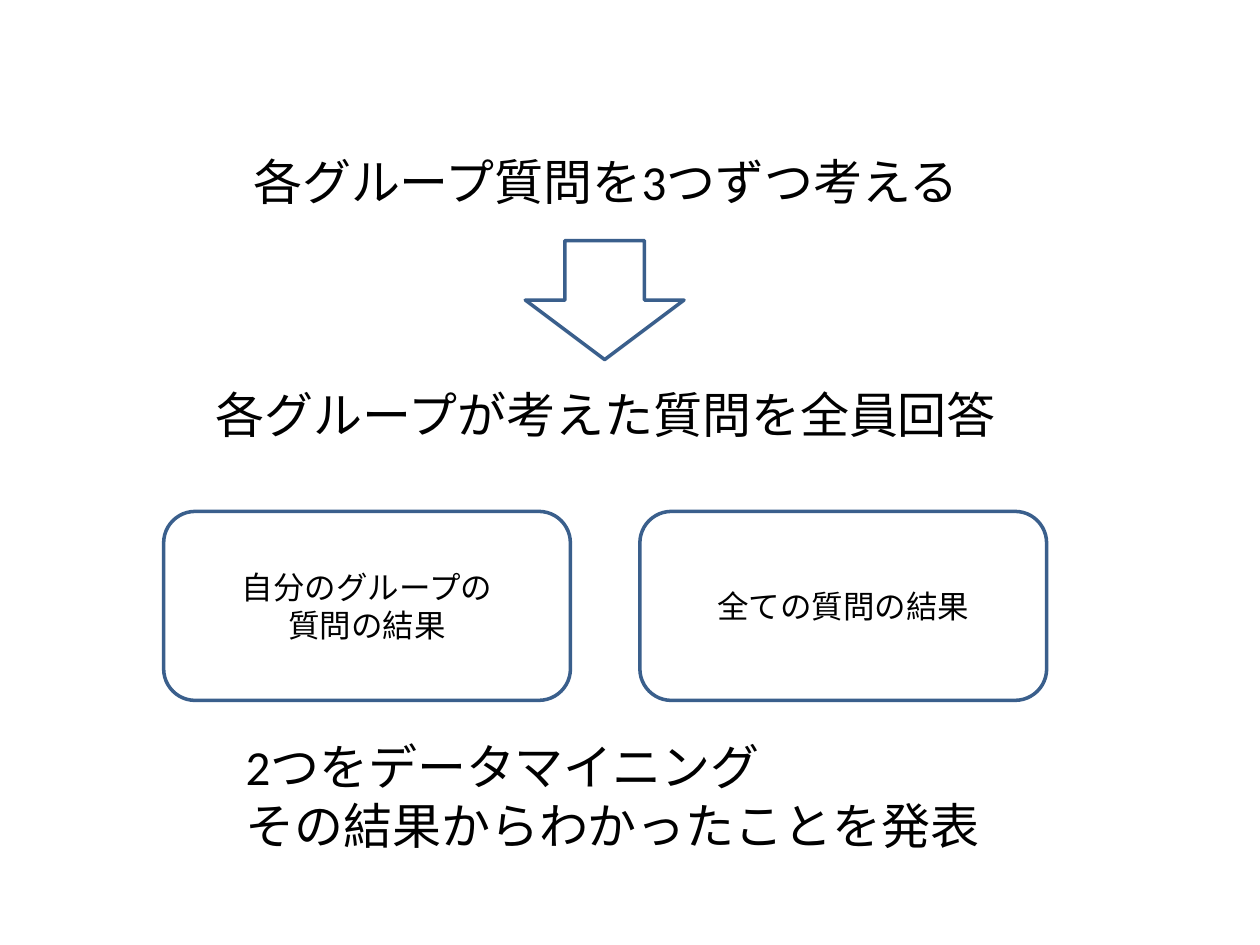
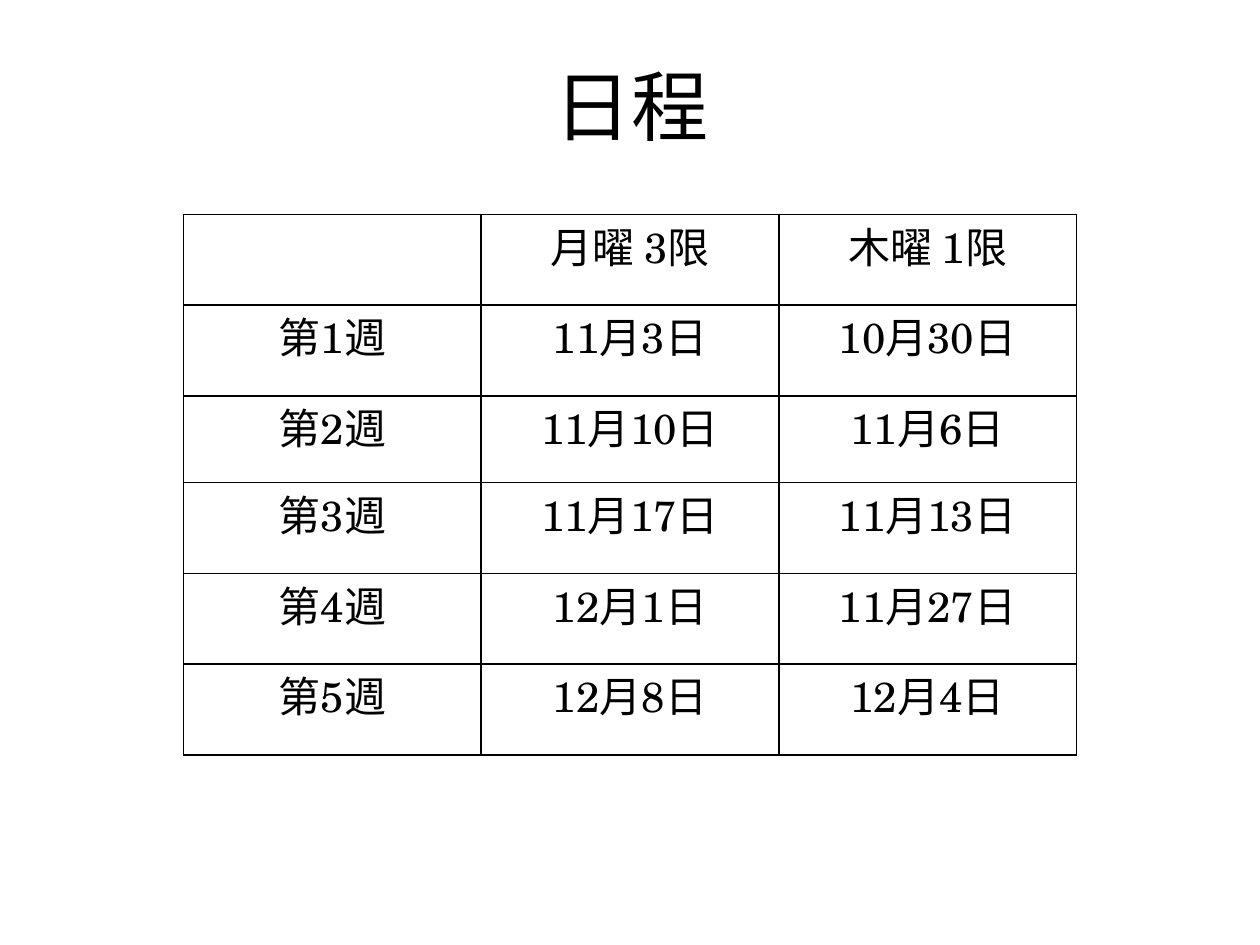
from lxml.etree import SubElement
from pptx import Presentation
from pptx.dml.color import RGBColor
from pptx.enum.shapes import MSO_SHAPE
from pptx.enum.text import MSO_ANCHOR, PP_ALIGN
from pptx.oxml.ns import qn
from pptx.util import Cm, Pt

BLACK = "000000"
WHITE = "FFFFFF"
OUTLINE = "3A5F8C"
BODY_FONT = "Calibri"
TABLE_FONT = "TeX Gyre Schola"
TITLE_ONLY, BLANK = 5, 6

SCHEDULE = [
    ["", "月曜 3限", "木曜 1限"],
    ["第1週", "11月3日", "10月30日"],
    ["第2週", "11月10日", "11月6日"],
    ["第3週", "11月17日", "11月13日"],
    ["第4週", "12月1日", "11月27日"],
    ["第5週", "12月8日", "12月4日"],
]
ROW_HEIGHTS = [1.83, 1.83, 1.75, 1.83, 1.83, 1.83]


def color(value):
    """Turn a hex string into a colour."""
    return RGBColor.from_string(value)


def write(frame, text, size=28, font=BODY_FONT, align=PP_ALIGN.CENTER, anchor=MSO_ANCHOR.TOP):
    """Fill a text frame with one formatted paragraph per line of text."""
    frame.word_wrap = True
    frame.vertical_anchor = anchor
    for index, line in enumerate(text.split("\n")):
        para = frame.paragraphs[0] if index == 0 else frame.add_paragraph()
        para.alignment = align
        span = para.add_run()
        span.text = line
        span.font.size = Pt(size)
        span.font.name = font
        span.font.color.rgb = color(BLACK)


def add_text(page, text, left, top, width, height, **style):
    """Add a text box, measured in centimetres."""
    box = page.shapes.add_textbox(Cm(left), Cm(top), Cm(width), Cm(height))
    write(box.text_frame, text, **style)


def add_outlined(page, kind, left, top, width, height):
    """Add a white preset shape with a blue outline."""
    shape = page.shapes.add_shape(kind, Cm(left), Cm(top), Cm(width), Cm(height))
    shape.shadow.inherit = False
    shape.fill.solid()
    shape.fill.fore_color.rgb = color(WHITE)
    shape.line.color.rgb = color(OUTLINE)
    shape.line.width = Pt(2)
    return shape


def add_borders(cell, width=1):
    """Draw a black line on all four sides of a cell."""
    properties = cell._tc.get_or_add_tcPr()
    for side in ("a:lnL", "a:lnR", "a:lnT", "a:lnB"):
        line = SubElement(properties, qn(side), w=str(Pt(width)))
        SubElement(SubElement(line, qn("a:solidFill")), qn("a:srgbClr"), val=BLACK)


def add_schedule(page, rows, left, top, width):
    """Add a plain ruled table with equal columns."""
    frame = page.shapes.add_table(
        len(rows), len(rows[0]), Cm(left), Cm(top), Cm(width), Cm(sum(ROW_HEIGHTS)))
    table = frame.table
    table.first_row = table.horz_banding = False
    for row, height, texts in zip(table.rows, ROW_HEIGHTS, rows):
        row.height = Cm(height)
        for cell, text in zip(row.cells, texts):
            add_borders(cell)
            cell.fill.background()
            cell.margin_left = cell.margin_right = Cm(0.18)
            cell.margin_top = cell.margin_bottom = 0
            if text:
                write(cell.text_frame, text, size=24, font=TABLE_FONT)


def build_steps(deck):
    """Build the slide with the steps of the group work."""
    page = deck.slides.add_slide(deck.slide_layouts[BLANK])
    for top, step in ((2.92, "各グループ質問を3つずつ考える"),
                      (7.62, "各グループが考えた質問を全員回答")):
        add_text(page, step, 0.71, top, 23.01, 1.45)
    for left, result in ((3.3, "自分のグループの\n質問の結果"), (12.9, "全ての質問の結果")):
        panel = add_outlined(page, MSO_SHAPE.ROUNDED_RECTANGLE, left, 10.31, 8.2, 3.81)
        write(panel.text_frame, result, size=18, anchor=MSO_ANCHOR.MIDDLE)
    add_text(page, "2つをデータマイニング\nその結果からわかったことを発表",
             4.7, 14.73, 16, 2.64, align=PP_ALIGN.LEFT)
    add_outlined(page, MSO_SHAPE.DOWN_ARROW, 10.59, 4.85, 3.2, 2.4)


def build_dates(deck):
    """Build the slide with the timetable."""
    page = deck.slides.add_slide(deck.slide_layouts[TITLE_ONLY])
    title = page.shapes.title
    title.left, title.top, title.width, title.height = Cm(1.3), Cm(0.53), Cm(22.86), Cm(3.18)
    write(title.text_frame, "日程", size=44, anchor=MSO_ANCHOR.MIDDLE)
    add_schedule(page, SCHEDULE, 3.7, 4.32, 18)


def main():
    """Build and save the deck."""
    deck = Presentation()
    deck.slide_width, deck.slide_height = Cm(25.4), Cm(19.05)
    build_steps(deck)
    build_dates(deck)
    deck.save("out.pptx")


if __name__ == "__main__":
    main()
